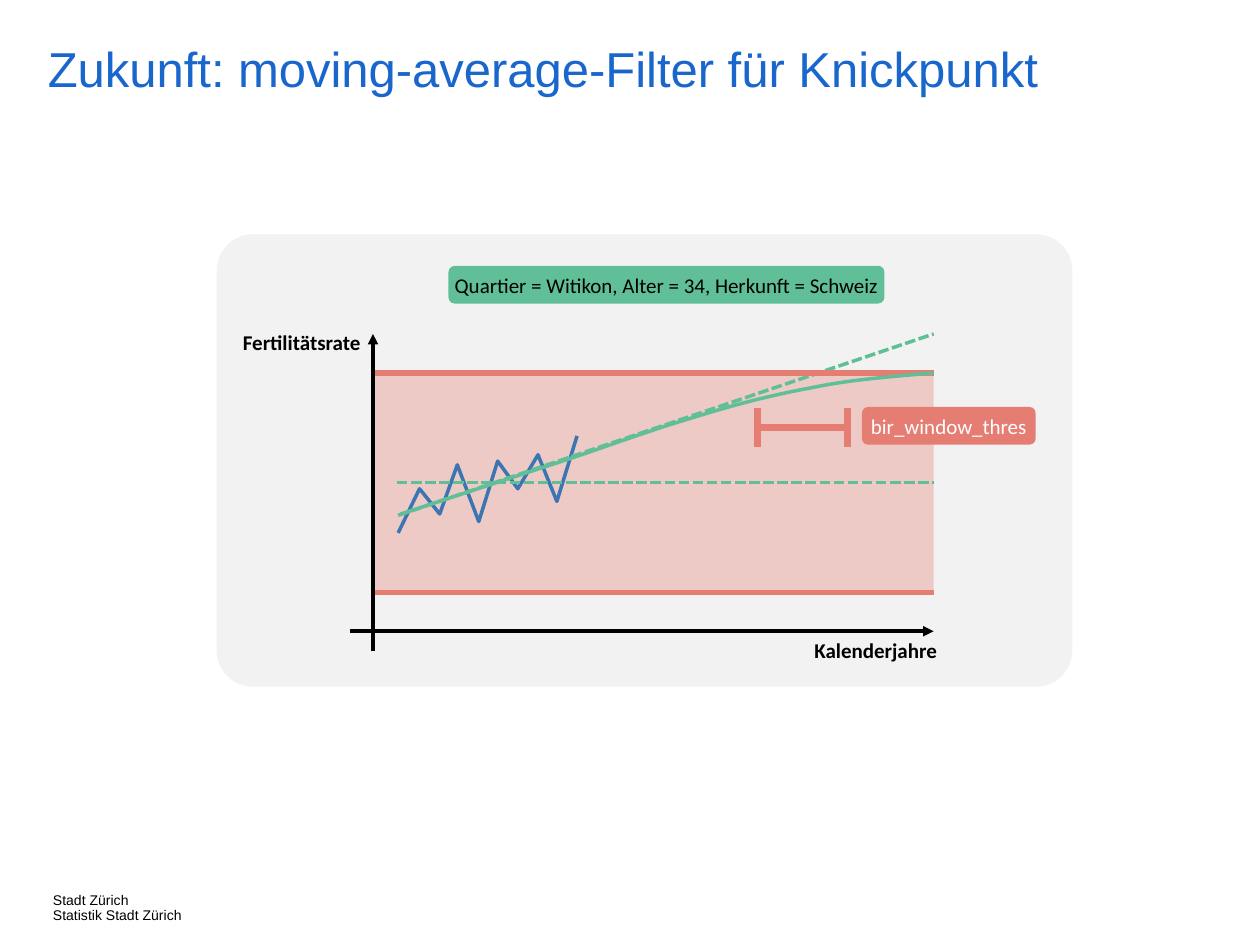
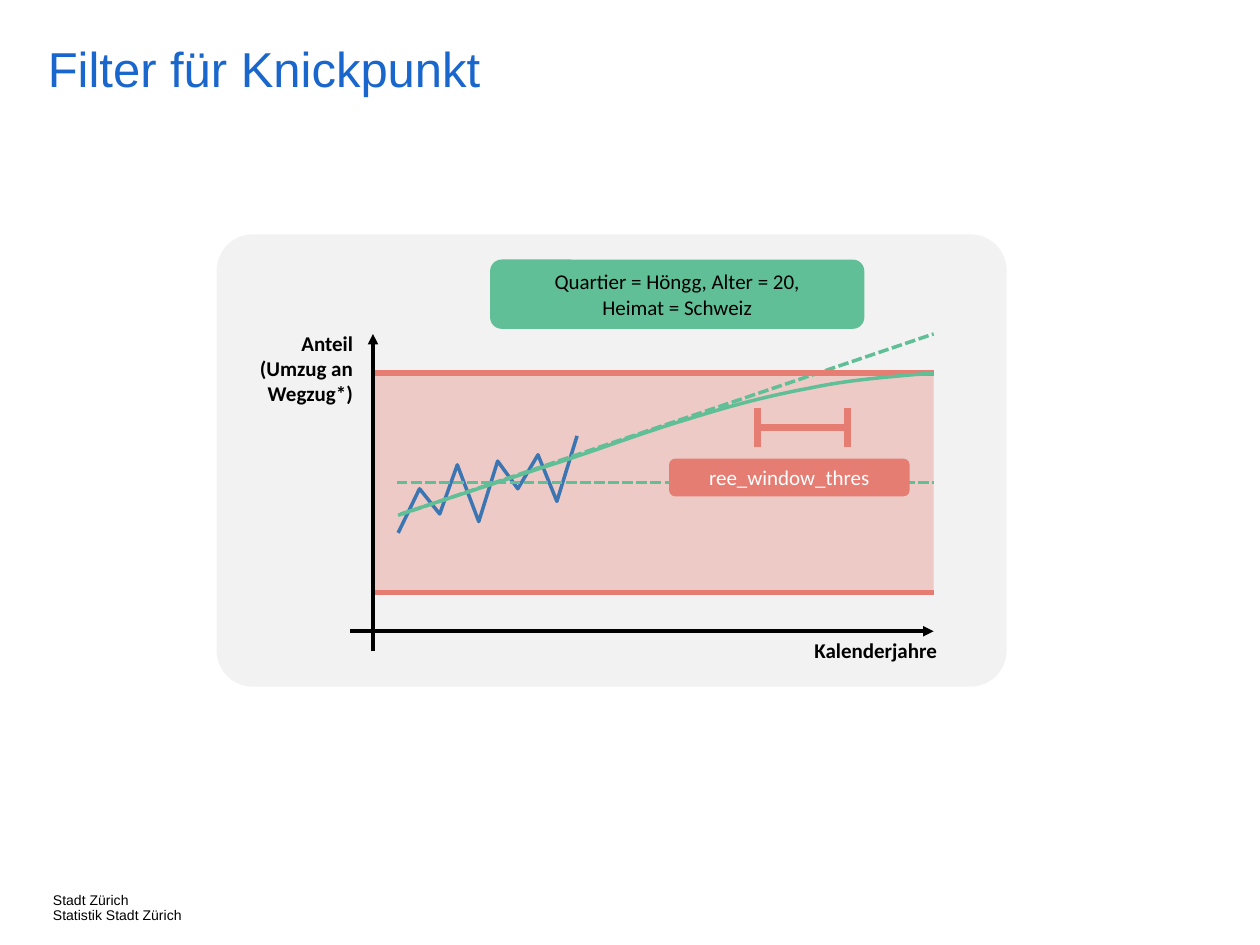
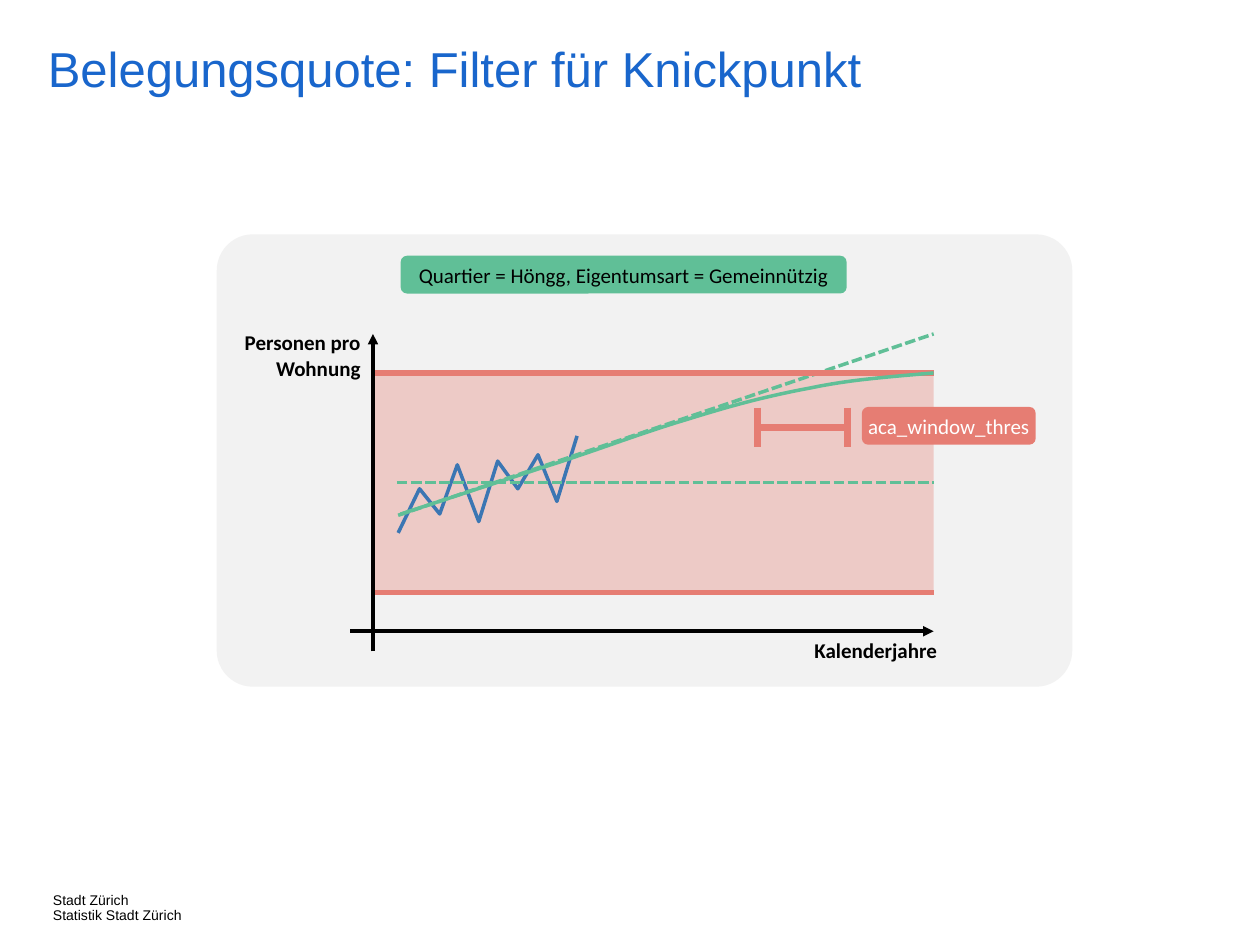
import lxml.etree
import pptx
import pptx.util
import pptx.dml.color
import pptx.enum.dml
import pptx.enum.shapes
import pptx.enum.text
import pptx.oxml.ns

Inches = pptx.util.Inches
Pt = pptx.util.Pt
RGBColor = pptx.dml.color.RGBColor
Align = pptx.enum.text.PP_ALIGN
Anchor = pptx.enum.text.MSO_ANCHOR
Shape = pptx.enum.shapes.MSO_SHAPE
qn = pptx.oxml.ns.qn

BLACK = RGBColor(0x00, 0x00, 0x00)
WHITE = RGBColor(0xFF, 0xFF, 0xFF)
TITLE_BLUE = RGBColor(0x19, 0x66, 0xCC)
RATE_BLUE = RGBColor(0x3B, 0x76, 0xB3)
PANEL_GREY = RGBColor(0xF2, 0xF2, 0xF2)
GREEN = RGBColor(0x60, 0xBF, 0x97)
CORAL = RGBColor(0xE6, 0x7D, 0x73)

NO_MARGINS = {"margin_left": 0, "margin_top": 0, "margin_right": 0, "margin_bottom": 0}
TITLE_FRAME = {**NO_MARGINS, "word_wrap": True, "vertical_anchor": Anchor.TOP,
               "auto_size": pptx.enum.text.MSO_AUTO_SIZE.NONE}
FOOTER_FRAME = {**NO_MARGINS, "word_wrap": False, "vertical_anchor": Anchor.TOP}
PILL_FRAME = {**NO_MARGINS, "word_wrap": True, "vertical_anchor": Anchor.MIDDLE}
AXIS_FRAME = {"word_wrap": True, "vertical_anchor": Anchor.TOP}
TITLE_FONT = {"name": "Arial", "size": Pt(28), "bold": False}
FOOTER_FONT = {"name": "Arial", "size": Pt(8)}
PILL_FONT = {"name": "Calibri", "size": Pt(12)}
AXIS_FONT = {**PILL_FONT, "bold": True}

PANEL_LEFT, PANEL_TOP, PANEL_HEIGHT = 1.72, 1.86, 3.59
AXIS_X, AXIS_Y = 1.24, 3.15
PLOT_RIGHT = 5.69
LIMIT_TOP, LIMIT_BOTTOM = 1.1, 2.84
PAST_RATES = [(1.44, 2.37), (1.61, 2.02), (1.77, 2.22), (1.91, 1.83), (2.08, 2.28),
              (2.23, 1.8), (2.39, 2.02), (2.55, 1.75), (2.7, 2.12), (2.86, 1.6)]
FILTER_START = (1.46, 2.22)
FILTER_BEND = [(2.62, 1.84), (3, 1.72), (3.39, 1.57), (3.73, 1.47), (4.08, 1.36),
               (4.38, 1.28), (4.71, 1.22), (5.04, 1.15), (5.36, 1.13), (5.69, 1.1)]

SLIDES = [
    {"title": "Zukunft: moving-average-Filter für Knickpunkt", "title_width": 8.4,
     "panel_width": 6.79,
     "rate": ("Fertilitätsrate", (0, 0.71, 1.24, 0.3)),
     "case": ("Quartier = Witikon, Alter = 34, Herkunft = Schweiz", (1.84, 0.25, 3.46, 0.3)),
     "window": ("bir_window_thres", (5.12, 1.37, 1.38, 0.3))},
    {"title": "Filter für Knickpunkt", "title_width": 9.27,
     "panel_width": 6.27,
     "rate": ("Anteil\n(Umzug an Wegzug*)", (-0.06, 0.71, 1.24, 0.71)),
     "case": ("Quartier = Höngg, Alter = 20,\nHeimat = Schweiz", (2.17, 0.2, 2.97, 0.55)),
     "window": ("ree_window_thres", (3.59, 1.78, 1.91, 0.3))},
    {"title": "Belegungsquote: Filter für Knickpunkt", "title_width": 8.4,
     "panel_width": 6.79,
     "rate": ("Personen pro Wohnung", (0, 0.71, 1.24, 0.5)),
     "case": ("Quartier = Höngg, Eigentumsart = Gemeinnützig", (1.46, 0.17, 3.54, 0.3)),
     "window": ("aca_window_thres", (5.12, 1.37, 1.38, 0.3))},
]


def apply_format(target, values):
    """Set every attribute in a dict of format values."""
    for attribute, value in values.items():
        setattr(target, attribute, value)


def write_text(shape, text, frame_format, font_format, color, align, spacing=1.0):
    """Fill a shape with text, one paragraph per line."""
    frame = shape.text_frame
    apply_format(frame, frame_format)
    frame.text = text
    for paragraph in frame.paragraphs:
        apply_format(paragraph, {"alignment": align, "line_spacing": spacing})
        for run in paragraph.runs:
            apply_format(run.font, font_format)
            run.font.color.rgb = color


def panel_box(box):
    """Turn a box relative to the panel into slide lengths."""
    left, top, width, height = box
    return [Inches(v) for v in (PANEL_LEFT + left, PANEL_TOP + top, width, height)]


def panel_point(point):
    """Turn a point relative to the panel into slide lengths."""
    return Inches(PANEL_LEFT + point[0]), Inches(PANEL_TOP + point[1])


def draw_block(slide, kind, box, color):
    """Draw a filled shape without outline or shadow."""
    block = slide.shapes.add_shape(kind, *panel_box(box))
    block.shadow.inherit = False
    block.fill.solid()
    block.fill.fore_color.rgb = color
    block.line.fill.background()
    return block


def draw_line(shapes, start, end, color, width, dashed=False, arrow=False):
    """Draw a straight line between two panel points."""
    line = shapes.add_connector(pptx.enum.shapes.MSO_CONNECTOR.STRAIGHT,
                                *panel_point(start), *panel_point(end))
    line.line.color.rgb = color
    line.line.width = Pt(width)
    if dashed:
        line.line.dash_style = pptx.enum.dml.MSO_LINE.SQUARE_DOT
    properties = line._element.spPr
    if arrow:
        lxml.etree.SubElement(properties.find(qn("a:ln")), qn("a:tailEnd"), type="triangle")
    lxml.etree.SubElement(properties, qn("a:effectLst"))


def draw_path(slide, points, color):
    """Draw an open outline through panel points."""
    start, *others = [panel_point(point) for point in points]
    builder = slide.shapes.build_freeform(*start)
    builder.add_line_segments(others, close=False)
    path = builder.convert_to_shape()
    path.shadow.inherit = False
    path.fill.background()
    path.line.color.rgb = color
    path.line.width = Pt(2)


def bend_points(controls, steps=12):
    """Sample a chain of cubic curves that share their end points."""
    points = [controls[0]]
    for first in range(0, len(controls) - 1, 3):
        segment = controls[first:first + 4]
        for step in range(1, steps + 1):
            t = step / steps
            weights = ((1 - t) ** 3, 3 * t * (1 - t) ** 2, 3 * t * t * (1 - t), t ** 3)
            points.append(tuple(sum(w * p[axis] for w, p in zip(weights, segment))
                                for axis in (0, 1)))
    return points


def draw_pill(slide, text, box, fill, color):
    """Draw a rounded label."""
    pill = draw_block(slide, Shape.ROUNDED_RECTANGLE, box, fill)
    write_text(pill, text, PILL_FRAME, PILL_FONT, color, Align.CENTER)


def draw_axis_label(slide, text, box, align):
    """Write a bold axis name."""
    label = slide.shapes.add_textbox(*panel_box(box))
    write_text(label, text, AXIS_FRAME, AXIS_FONT, BLACK, align)


def draw_window(slide, left, right, middle, cap):
    """Draw the span of the filter window with its two end caps."""
    span = slide.shapes.add_group_shape().shapes
    draw_line(span, (left, middle), (right, middle), CORAL, 4)
    for end in (left, right):
        draw_line(span, (end, middle - cap / 2), (end, middle + cap / 2), CORAL, 4)


def draw_panel(slide, content):
    """Draw the grey panel with its rate diagram and labels."""
    panel = draw_block(slide, Shape.ROUNDED_RECTANGLE,
                       (0, 0, content["panel_width"], PANEL_HEIGHT), PANEL_GREY)
    panel.adjustments[0] = 0.08
    band = draw_block(slide, Shape.RECTANGLE,
                      (AXIS_X, LIMIT_TOP, PLOT_RIGHT - AXIS_X, LIMIT_BOTTOM - LIMIT_TOP), CORAL)
    band_color = band._element.spPr.find(".//" + qn("a:srgbClr"))
    lxml.etree.SubElement(band_color, qn("a:alpha"), val="34000")

    shapes = slide.shapes
    draw_line(shapes, (1.06, AXIS_Y), (PLOT_RIGHT, AXIS_Y), BLACK, 2, arrow=True)
    draw_axis_label(slide, "Kalenderjahre", (4.61, AXIS_Y, 1.24, 0.3), Align.CENTER)
    draw_axis_label(slide, *content["rate"], Align.RIGHT)
    draw_path(slide, PAST_RATES, RATE_BLUE)
    draw_line(shapes, (1.43, 1.97), (PLOT_RIGHT, 1.97), GREEN, 2, dashed=True)
    draw_line(shapes, (1.44, 2.23), (PLOT_RIGHT, 0.79), GREEN, 2, dashed=True)
    for limit in (LIMIT_BOTTOM, LIMIT_TOP):
        draw_line(shapes, (AXIS_X, limit), (PLOT_RIGHT, limit), CORAL, 3)
    draw_line(shapes, (AXIS_X, 3.31), (AXIS_X, 0.79), BLACK, 2, arrow=True)
    draw_window(slide, 4.29, 5.01, 1.53, 0.31)
    draw_path(slide, [FILTER_START] + bend_points(FILTER_BEND), GREEN)
    draw_pill(slide, *content["window"], CORAL, WHITE)
    draw_pill(slide, *content["case"], GREEN, BLACK)


def draw_title(slide, text, width):
    """Place and format the slide title."""
    title = slide.shapes.title
    apply_format(title, {"left": Inches(0.38), "top": Inches(0.36),
                         "width": Inches(width), "height": Inches(0.64)})
    write_text(title, text, TITLE_FRAME, TITLE_FONT, TITLE_BLUE, Align.LEFT, 0.9)


def draw_footer(slide):
    """Write the sender at the bottom left."""
    footer = slide.shapes.add_textbox(Inches(0.42), Inches(7.09), Inches(1.31), Inches(0.2))
    write_text(footer, "Stadt Zürich\nStatistik Stadt Zürich",
               FOOTER_FRAME, FOOTER_FONT, BLACK, Align.LEFT, 0.9)


def main():
    """Build the three slides and save them."""
    deck = pptx.Presentation()
    deck.slide_width, deck.slide_height = Inches(10), Inches(7.5)
    for content in SLIDES:
        slide = deck.slides.add_slide(deck.slide_layouts[5])
        draw_footer(slide)
        draw_title(slide, content["title"], content["title_width"])
        draw_panel(slide, content)
    deck.save("out.pptx")


if __name__ == "__main__":
    main()
